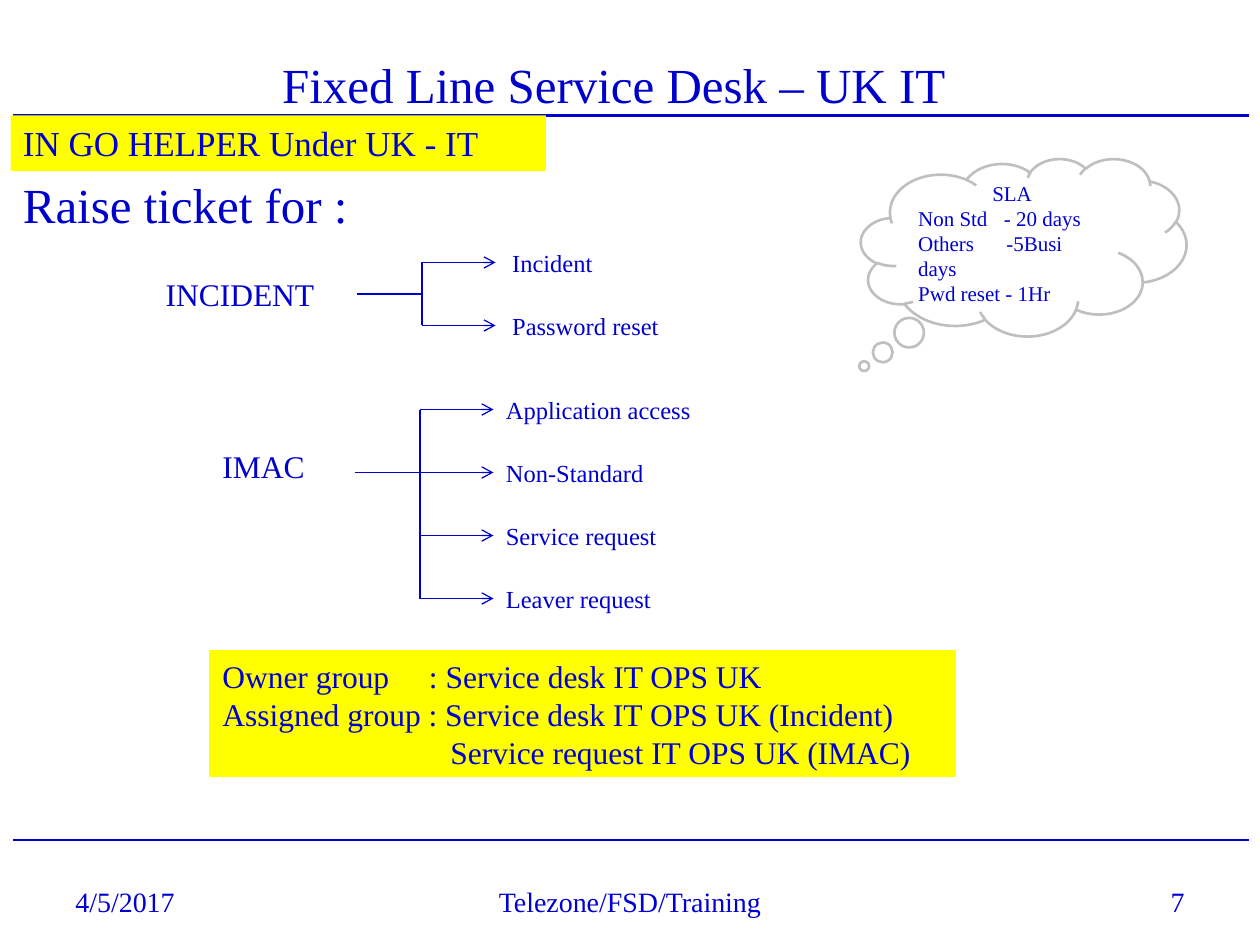
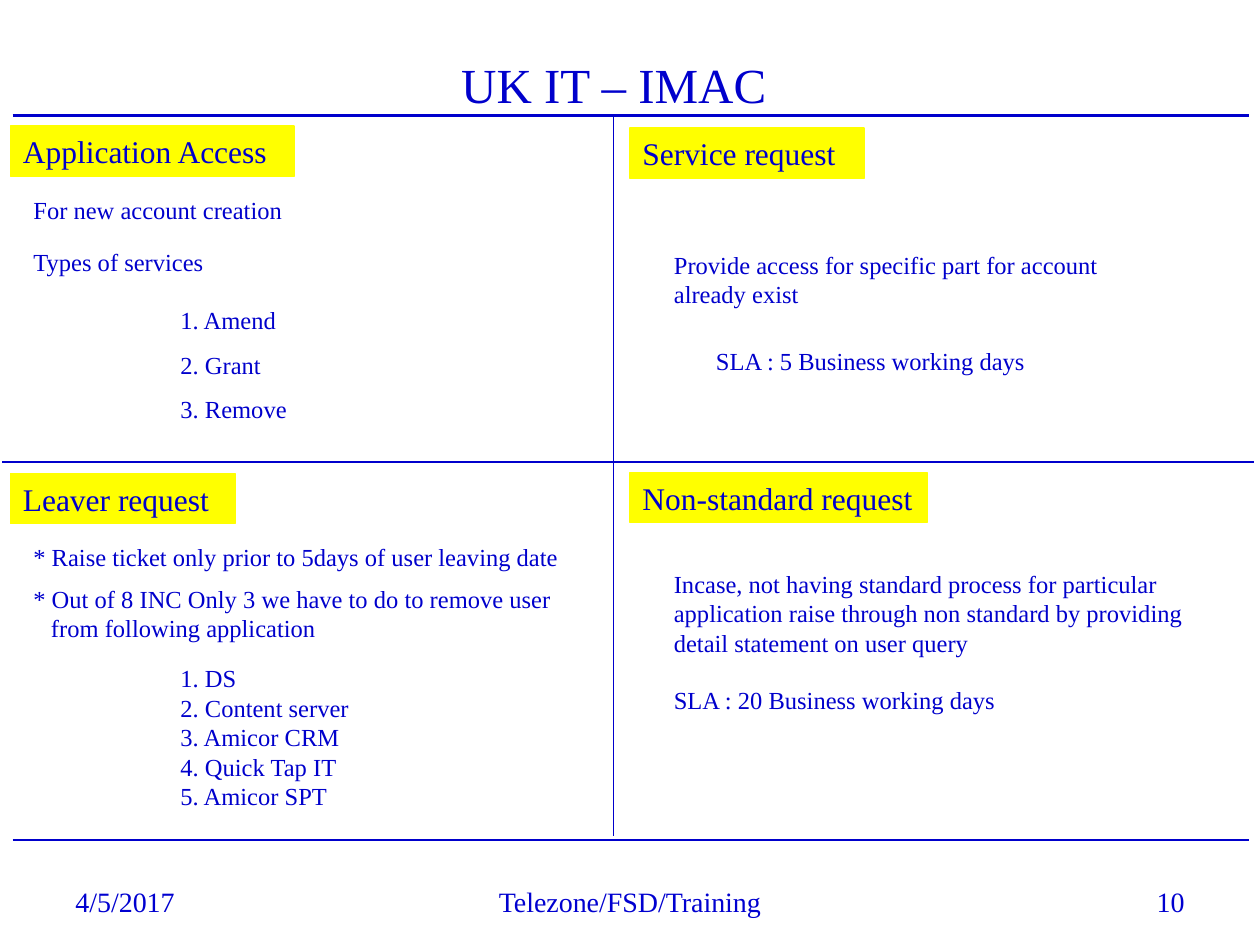
"""Build two service desk training slides on a grid of 120 columns by 90 rows."""
from lxml import etree
from pptx import Presentation
from pptx.dml.color import RGBColor
from pptx.enum.shapes import MSO_CONNECTOR, MSO_SHAPE
from pptx.enum.text import MSO_ANCHOR, PP_ALIGN
from pptx.oxml.ns import qn
from pptx.util import Inches, Pt

STRAIGHT = MSO_CONNECTOR.STRAIGHT
RECTANGLE, CLOUD = MSO_SHAPE.RECTANGLE, MSO_SHAPE.CLOUD_CALLOUT
LEFT, CENTER, RIGHT = PP_ALIGN.LEFT, PP_ALIGN.CENTER, PP_ALIGN.RIGHT
TOP, MIDDLE = MSO_ANCHOR.TOP, MSO_ANCHOR.MIDDLE

COLORS = {"blue": "0000CC", "deep": "0000D0", "yellow": "FFFF00", "gray": "BFBFBF"}
FONT = "Times New Roman"
COLUMNS, ROWS = 120, 90


def color(name):
    return RGBColor.from_string(COLORS[name])


def write(shape, text, size=14, ink="blue", anchor=TOP, **shared):
    """Fill a shape with lines; each is a string or a (string, format) pair."""
    frame = shape.text_frame
    frame.word_wrap = True
    frame.vertical_anchor = anchor
    lines = [text] if isinstance(text, str) else text
    for index, line in enumerate(lines):
        words, own = (line, {}) if isinstance(line, str) else line
        layout = {**shared, **own}
        paragraph = frame.paragraphs[0] if index == 0 else frame.add_paragraph()
        paragraph.alignment = layout.get("align", LEFT)
        paragraph.line_spacing = layout.get("spacing")
        if "before" in layout:
            paragraph.space_before = Pt(layout["before"])
        properties = paragraph._p.get_or_add_pPr()
        if "indent" in layout:
            properties.set("marL", str(Inches(layout["indent"])))
        if "tab" in layout:
            stops = etree.SubElement(properties, qn("a:tabLst"))
            etree.SubElement(stops, qn("a:tab"), pos=str(Inches(layout["tab"])), algn="l")
        run = paragraph.add_run()
        run.text = words
        run.font.name = FONT
        run.font.size = Pt(size)
        run.font.color.rgb = color(ink)


class Deck:
    """Hold the presentation, its grid and the current slide."""

    def __init__(self):
        self.presentation = Presentation()
        self.presentation.slide_width = Inches(10)
        self.presentation.slide_height = Inches(7.5)
        self.column = self.presentation.slide_width / COLUMNS
        self.row = self.presentation.slide_height / ROWS
        self.slide = None

    def place(self, left, top, width, height):
        return (round(left * self.column), round(top * self.row),
                round(width * self.column), round(height * self.row))

    def new_slide(self, title, number):
        self.slide = self.presentation.slides.add_slide(self.presentation.slide_layouts[6])
        for row in (11, 80):
            self.line(1.2, row, 119, row, weight=1.5)
        self.text(21.6, 4.6, 73.7, 6.5, title, size=28, align=CENTER)
        footers = [(6, 28, "4/5/2017", LEFT),
                   (41, 38, "Telezone/FSD/Training", CENTER),
                   (86, 28, number, RIGHT)]
        for left, width, words, align in footers:
            self.text(left, 83.4, width, 4.8, words, size=16, ink="deep",
                      anchor=MIDDLE, align=align)

    def text(self, left, top, width, height, words, **style):
        write(self.slide.shapes.add_textbox(*self.place(left, top, width, height)),
              words, **style)

    def shape(self, kind, box, words, fill=None, outline=None, weight=0.75, **style):
        shape = self.slide.shapes.add_shape(kind, *self.place(*box))
        shape.shadow.inherit = False
        if fill:
            shape.fill.solid()
            shape.fill.fore_color.rgb = color(fill)
        else:
            shape.fill.background()
        if outline:
            shape.line.color.rgb = color(outline)
            shape.line.width = Pt(weight)
        else:
            shape.line.fill.background()
        write(shape, words, **style)
        return shape

    def heading(self, left, top, width, words):
        self.shape(RECTANGLE, (left, top, width, 4.8), words,
                   fill="yellow", outline="yellow", size=18)

    def line(self, left, top, right, bottom, weight=0.75, arrow=False):
        start_x, start_y, end_x, end_y = self.place(left, top, right, bottom)
        connector = self.slide.shapes.add_connector(STRAIGHT, start_x, start_y, end_x, end_y)
        connector.line.color.rgb = color("blue")
        connector.line.width = Pt(weight)
        if arrow:
            etree.SubElement(connector.line._get_or_add_ln(), qn("a:tailEnd"), type="arrow")
        etree.SubElement(connector._element.spPr, qn("a:effectLst"))

    def branches(self, start, spine, stem, first, label_left, labels):
        """Draw a stem that splits into labelled arrows six rows apart."""
        last = first + 6 * (len(labels) - 1)
        self.line(start, stem, spine, stem)
        self.line(spine, first, spine, last)
        for index, label in enumerate(labels):
            row = first + 6 * index
            self.line(spine, row, spine + 7, row, arrow=True)
            self.text(label_left, row - 2, 21.4, 4, label)


def build_service_desk(deck):
    deck.new_slide("Fixed Line Service Desk – UK IT", "7")
    deck.shape(RECTANGLE, (1, 11, 51, 5.3), "IN GO HELPER Under UK - IT",
               fill="yellow", size=20)
    deck.text(1, 16, 60.8, 6.8, "Raise ticket for :", size=28)
    deck.text(14.6, 25.6, 17.8, 4.8, "INCIDENT", size=18)
    deck.branches(34, 40.2, 28, 25, 47.6, ["Incident", "Password reset"])
    deck.text(20, 42, 11, 4.8, "IMAC", size=18)
    deck.branches(33.8, 40, 45, 39, 47,
                  ["Application access", "Non-Standard", "Service request", "Leaver request"])
    cloud = deck.shape(
        CLOUD, (82, 15.1, 31, 16.9),
        [("SLA", {"align": CENTER}), ("Non Std\t- 20 days", {"tab": 0.68}),
         ("Others\t-5Busi days", {"tab": 0.7}), "Pwd reset - 1Hr"],
        outline="gray", weight=1.5, size=12, ink="deep", anchor=MIDDLE)
    cloud.adjustments[0], cloud.adjustments[1] = -0.49, 0.67
    deck.shape(
        RECTANGLE, (20, 62, 71, 11.9),
        [("Owner group\t: Service desk IT OPS UK", {"tab": 1.64}),
         "Assigned group : Service desk IT OPS UK (Incident)",
         ("Service request IT OPS UK (IMAC)", {"indent": 1.81})],
        fill="yellow", outline="yellow", size=18, ink="deep")


def build_imac(deck):
    deck.new_slide("UK IT – IMAC", "10")
    deck.line(58.4, 11, 58.4, 79.6)
    deck.line(0.2, 44, 119.4, 44)

    deck.heading(1, 12, 27, "Application Access")
    deck.text(2, 18, 45.5, 4, "For new account creation")
    deck.text(2, 22.9, 45.5, 4, "Types of services")
    deck.text(16, 27.1, 15, 14, ["1. Amend", "2. Grant", "3. Remove"], spacing=1.5)

    deck.heading(60, 12.2, 22.3, "Service request")
    deck.text(63, 23.2, 45.5, 6.8,
              "Provide access for specific part for account already exist")
    deck.text(67, 32.4, 38.3, 4.6, "SLA : 5 Business working days")

    deck.heading(1, 45.1, 21.4, "Leaver request")
    deck.text(2, 51, 58.6, 4, "* Raise ticket only prior to 5days of user leaving date")
    deck.text(2, 55, 53, 6.8,
              ["* Out of 8 INC Only 3 we have to do to remove user",
               ("from following application", {"indent": 0.14})])
    systems = ["DS", "Content server", "Amicor CRM", "Quick Tap IT", "Amicor SPT"]
    deck.text(16, 62.6, 33, 15.4,
              [f"{number}. {name}" for number, name in enumerate(systems, 1)])

    deck.heading(60, 45, 28.3, "Non-standard request")
    deck.text(63, 53.6, 54, 15.4,
              ["Incase, not having standard process for particular application raise "
               "through non standard by providing detail statement on user query",
               ("SLA : 20 Business working days", {"before": 16})])


deck = Deck()
build_service_desk(deck)
build_imac(deck)
deck.presentation.save("out.pptx")
